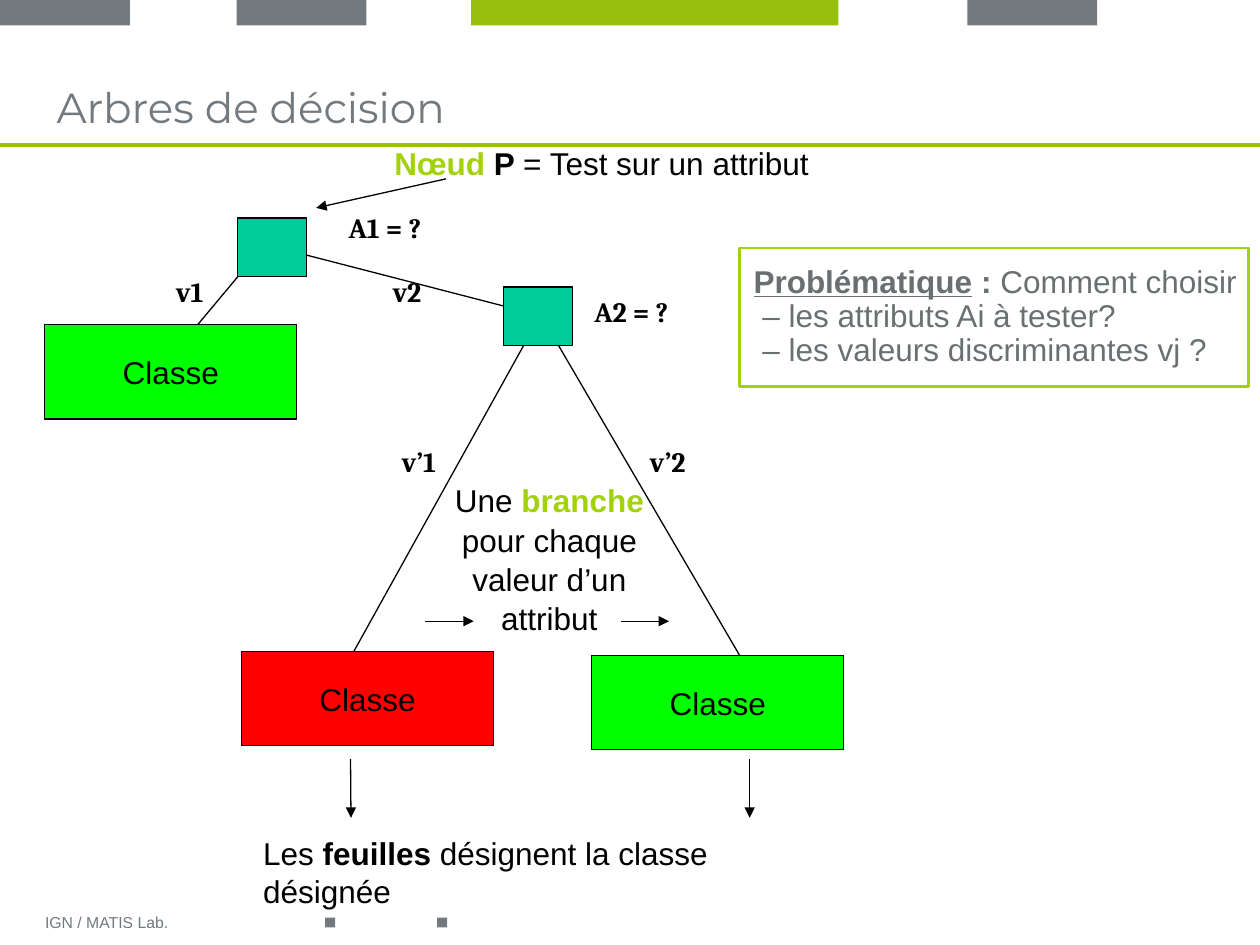
from pptx import Presentation
from pptx.dml.color import RGBColor
from pptx.enum.shapes import MSO_CONNECTOR as Connector, MSO_SHAPE as Shape
from pptx.enum.text import MSO_ANCHOR as Anchor, PP_ALIGN as Align
from pptx.oxml.ns import qn
from pptx.util import Pt
from lxml.etree import SubElement

GREY = RGBColor(0x72, 0x79, 0x7F)
OLIVE = RGBColor(0x97, 0xBF, 0x0D)
LIME = RGBColor(0xA3, 0xD2, 0x0B)
SLATE = RGBColor(0x6A, 0x70, 0x72)
BLACK = RGBColor(0, 0, 0)
GREEN = RGBColor(0, 0xFF, 0)
RED = RGBColor(0xFF, 0, 0)
TEAL = RGBColor(0, 0xCC, 0x99)


def add_rect(slide, left, top, width, height, fill=None, outline=None, weight=0.75):
    """Draw a rectangle with an optional fill and outline."""
    rect = slide.shapes.add_shape(Shape.RECTANGLE, Pt(left), Pt(top), Pt(width), Pt(height))
    rect.shadow.inherit = False
    if fill is None:
        rect.fill.background()
    else:
        rect.fill.solid()
        rect.fill.fore_color.rgb = fill
    if outline is None:
        rect.line.fill.background()
    else:
        rect.line.color.rgb = outline
        rect.line.width = Pt(weight)
    return rect


def add_line(slide, x1, y1, x2, y2, color=BLACK, weight=0.75, arrow=False):
    """Draw a straight connector, with an arrowhead at its end if asked."""
    line = slide.shapes.add_connector(Connector.STRAIGHT, Pt(x1), Pt(y1), Pt(x2), Pt(y2))
    line.line.color.rgb = color
    line.line.width = Pt(weight)
    if arrow:
        SubElement(line.line._get_or_add_ln(), qn("a:tailEnd"), type="triangle")
    SubElement(line._element.spPr, qn("a:effectLst"))


def write(paragraph, pieces, size, font="Arial", spacing=None, align=Align.LEFT):
    """Fill a paragraph with (text, colour, bold, underline) pieces."""
    paragraph.alignment = align
    if spacing:
        paragraph.line_spacing = spacing
    for text, color, bold, underline in pieces:
        run = paragraph.add_run()
        run.text = text
        run.font.name = font
        run.font.size = Pt(size)
        run.font.color.rgb = color
        run.font.bold = bold
        run.font.underline = underline


def add_text(slide, left, top, width, height, pieces, size=18, font="Arial",
             spacing=None, align=Align.LEFT, anchor=Anchor.TOP, wrap=False):
    """Add a one-paragraph text box."""
    frame = slide.shapes.add_textbox(Pt(left), Pt(top), Pt(width), Pt(height)).text_frame
    frame.word_wrap = wrap
    frame.vertical_anchor = anchor
    write(frame.paragraphs[0], pieces, size, font, spacing, align)


def plain(text, color=BLACK):
    """Make a regular piece of text."""
    return text, color, False, False


def strong(text, color=BLACK):
    """Make a bold piece of text."""
    return text, color, True, False


def add_class(slide, left, top, fill):
    """Draw a leaf of the tree."""
    frame = add_rect(slide, left, top, 144, 54, fill, BLACK).text_frame
    frame.word_wrap = False
    frame.vertical_anchor = Anchor.MIDDLE
    write(frame.paragraphs[0], [plain("Classe")], 18, align=Align.CENTER)


def add_page_frame(slide):
    """Draw the top bars, title, rule and footer."""
    add_line(slide, 0, 82.8, 720, 82.8, OLIVE, 2.25)
    for left in (0, 135.2, 552.8):
        add_rect(slide, left, 0, 74.2, 14.5, GREY)
    add_rect(slide, 269.2, 0, 210, 14.5, OLIVE)
    for left in (185.8, 249.8):
        add_rect(slide, left, 524.3, 5.7, 5.7, GREY)
    add_text(slide, 25.2, 38.9, 658, 43.9, [plain("Arbres de décision", GREY)], 24,
             "Montserrat", anchor=Anchor.MIDDLE, wrap=True)
    add_text(slide, 18.7, 512.6, 227.5, 28.8, [plain("IGN / MATIS Lab.", GREY)], 9,
             anchor=Anchor.MIDDLE, wrap=True)


def add_tree(slide):
    """Draw leaves, branches, nodes and their labels."""
    for left, top, fill in ((25.6, 185.5, GREEN), (338.2, 374.4, GREEN), (138, 372.1, RED)):
        add_class(slide, left, top, fill)
    for branch in ((148.3, 143.3, 113, 185.5), (165.6, 143.3, 310.3, 180.7),
                   (305.3, 186.5, 202.3, 372.1), (316.1, 192.2, 422.6, 374.4)):
        add_line(slide, *branch)
    for left, top in ((135.8, 124.6), (287.8, 164)):
        add_rect(slide, left, top, 39.2, 33.5, TEAL, BLACK)
    for text, left, top, width in (
            ("A1 = ?", 192.2, 115.9, 63.4), ("A2 = ?", 332.6, 164.2, 63.4),
            ("v1", 93.6, 152.6, 31), ("v2", 217.4, 152.6, 31),
            ("v’1", 222.5, 250, 35.3), ("v’2", 364.3, 250, 35.3)):
        add_text(slide, left, top, width, 26.6, [strong(text)], 16, "Cambria", 1.04)


def add_explanations(slide):
    """Write what nodes, branches and leaves stand for, with their arrows."""
    add_text(slide, 218.2, 77.8, 251.3, 29.5,
             [strong("Nœud", LIME), strong(" P "), plain("= Test sur un attribut")], spacing=1.04)
    add_text(slide, 233.3, 270.7, 161.3, 97.2,
             [plain("Une "), strong("branche", LIME), plain(" pour chaque valeur d’un attribut")],
             spacing=1.04, align=Align.CENTER, wrap=True)
    add_text(slide, 143.3, 473, 345.6, 28.8,
             [plain("Les "), strong("feuilles"), plain(" désignent la classe désignée")])
    for arrow in ((254.9, 102.2, 180.7, 118.8), (242.6, 355, 270.7, 355),
                  (355, 355, 382.3, 355), (200.3, 433.8, 200.6, 467.3),
                  (428.4, 433.8, 428.4, 467.3)):
        add_line(slide, *arrow, arrow=True)


def add_problem(slide):
    """Write the framed question on the choice of attributes and values."""
    frame = slide.shapes.add_textbox(Pt(430.6), Pt(151.9), Pt(286), Pt(64)).text_frame
    frame.word_wrap = True
    frame.margin_left = frame.margin_right = frame.margin_top = frame.margin_bottom = 0
    write(frame.paragraphs[0], [("Problématique", SLATE, True, True), strong(" : ", SLATE),
                                plain("Comment choisir", SLATE)], 18, spacing=0.9)
    for question in ("– les attributs Ai à tester?", "– les valeurs discriminantes vj ?"):
        paragraph = frame.add_paragraph()
        paragraph._p.get_or_add_pPr().set("marL", str(Pt(5)))
        write(paragraph, [plain(question, SLATE)], 18, spacing=0.9)
    add_rect(slide, 422.6, 141.8, 290.9, 79.2, outline=LIME, weight=1.42)


def main():
    """Build the decision tree slide."""
    deck = Presentation()
    deck.slide_width, deck.slide_height = Pt(720), Pt(540)
    slide = deck.slides.add_slide(deck.slide_layouts[6])
    add_page_frame(slide)
    add_tree(slide)
    add_explanations(slide)
    add_problem(slide)
    deck.save("out.pptx")


if __name__ == "__main__":
    main()
